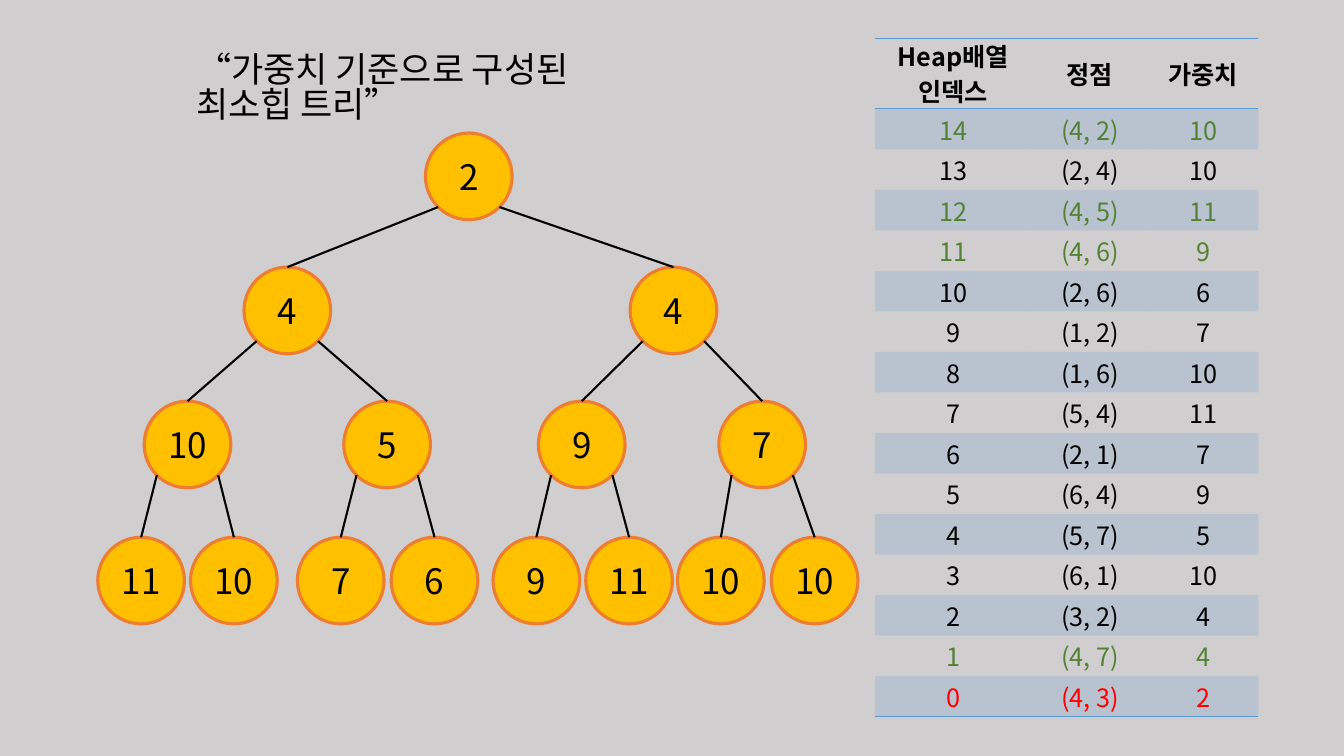
import math
from dataclasses import dataclass

import pptx
import pptx.dml.color
import pptx.enum.shapes
import pptx.enum.text
import pptx.oxml
import pptx.oxml.ns
import pptx.util

PX = 9144  # EMU per px, 100 px to the inch


@dataclass(frozen=True)
class Theme:
    font: str = "Noto Sans CJK KR"
    background: str = "D0CECE"
    text: str = "000000"
    node: str = "FFC000"
    node_line: str = "ED7D31"
    accent: str = "5B9BD5"
    green: str = "548235"
    red: str = "FF0000"
    large: int = 25
    small: int = 18


THEME = Theme()
NO_TABLE_STYLE = "{2D5ABB26-0587-4C30-8999-92F81FD0307C}"

NODE_SIZE = 86
# Each level: top, then (left, weight) of its nodes, relative to the tree box
TREE_LEVELS = [
    (0, [(325, "2")]),
    (133, [(145, "4"), (528, "4")]),
    (266, [(46, "10"), (244, "5"), (437, "9"), (616, "7")]),
    (401, [(0, "11"), (92, "10"), (198, "7"), (291, "6"),
           (392, "9"), (484, "11"), (575, "10"), (668, "10")]),
]

HEADERS = [["Heap배열", "인덱스"], ["정점"], ["가중치"]]
COLUMN_WIDTHS = [155, 116, 109]
HEADER_HEIGHT = 70
# Vertex pair and weight, from the highest heap index down to 0
HEAP_EDGES = [
    ("(4, 2)", 10), ("(2, 4)", 10), ("(4, 5)", 11), ("(4, 6)", 9), ("(2, 6)", 6),
    ("(1, 2)", 7), ("(1, 6)", 10), ("(5, 4)", 11), ("(2, 1)", 7), ("(6, 4)", 9),
    ("(5, 7)", 5), ("(6, 1)", 10), ("(3, 2)", 4), ("(4, 7)", 4), ("(4, 3)", 2),
]
INDEX_COLORS = {14: THEME.green, 12: THEME.green, 11: THEME.green,
                1: THEME.green, 0: THEME.red}


def px(length):
    return pptx.util.Emu(round(length * PX))


def rgb(color):
    return pptx.dml.color.RGBColor.from_string(color)


def add_run(paragraph, text, size, color=THEME.text, bold=False):
    run = paragraph.add_run()
    run.text = text
    run.font.size = pptx.util.Pt(size)
    run.font.bold = bold
    run.font.color.rgb = rgb(color)
    run.font.name = THEME.font
    east_asian = pptx.oxml.parse_xml(
        f'<a:ea {pptx.oxml.ns.nsdecls("a")} typeface="{THEME.font}"/>')
    run.font._element.find(pptx.oxml.ns.qn("a:latin")).addnext(east_asian)


def add_title(slide, left, top, width, height):
    box = slide.shapes.add_textbox(px(left), px(top), px(width), px(height))
    box.text_frame.word_wrap = True
    paragraph = box.text_frame.paragraphs[0]
    paragraph.line_spacing = 0.83
    add_run(paragraph, "“가중치 기준으로 구성된 최소힙 트리”", THEME.large)


def add_node(slide, left, top, weight):
    node = slide.shapes.add_shape(pptx.enum.shapes.MSO_SHAPE.OVAL,
                                  px(left), px(top), px(NODE_SIZE), px(NODE_SIZE))
    node.shadow.inherit = False
    node.fill.solid()
    node.fill.fore_color.rgb = rgb(THEME.node)
    node.line.color.rgb = rgb(THEME.node_line)
    node.line.width = pptx.util.Pt(2.25)
    node.text_frame.vertical_anchor = pptx.enum.text.MSO_ANCHOR.MIDDLE
    paragraph = node.text_frame.paragraphs[0]
    paragraph.alignment = pptx.enum.text.PP_ALIGN.CENTER
    add_run(paragraph, weight, THEME.large)


def add_branch(slide, parent, child, side):
    """Join the parent's lower diagonal (side -1 left, 1 right) to the child's top."""
    radius = NODE_SIZE / 2
    reach = radius * math.sqrt(0.5)
    branch = slide.shapes.add_connector(
        pptx.enum.shapes.MSO_CONNECTOR.STRAIGHT,
        px(parent[0] + radius + side * reach), px(parent[1] + radius + reach),
        px(child[0] + radius), px(child[1]))
    branch.line.color.rgb = rgb(THEME.text)
    branch.line.width = pptx.util.Pt(1.5)
    branch._element.spPr.append(
        pptx.oxml.parse_xml(f'<a:effectLst {pptx.oxml.ns.nsdecls("a")}/>'))


def add_heap_tree(slide, left, top):
    parents = []
    for level_top, nodes in TREE_LEVELS:
        corners = [(left + node_left, top + level_top) for node_left, _ in nodes]
        for position, (corner, (_, weight)) in enumerate(zip(corners, nodes)):
            add_node(slide, *corner, weight)
            if parents:
                add_branch(slide, parents[position // 2], corner,
                           1 if position % 2 else -1)
        parents = corners


def fill_cell(cell, lines, color=THEME.text, bold=False):
    cell.margin_top = cell.margin_bottom = 0
    cell.vertical_anchor = pptx.enum.text.MSO_ANCHOR.MIDDLE
    for position, line in enumerate(lines):
        frame = cell.text_frame
        paragraph = frame.add_paragraph() if position else frame.paragraphs[0]
        paragraph.alignment = pptx.enum.text.PP_ALIGN.CENTER
        if len(lines) > 1:
            paragraph.line_spacing = 0.95
        add_run(paragraph, line, THEME.small, color, bold)


def shade_cell(cell, shaded):
    if not shaded:
        cell.fill.background()
        return
    cell.fill.solid()
    cell.fill.fore_color.rgb = rgb(THEME.accent)
    color = cell._tc.tcPr.find(".//" + pptx.oxml.ns.qn("a:srgbClr"))
    color.append(pptx.oxml.parse_xml(
        f'<a:alpha {pptx.oxml.ns.nsdecls("a")} val="20000"/>'))


def rule_cell(cell, edges):
    """Draw accent borders on the edges, named in schema order (lnT, lnB)."""
    for position, edge in enumerate(edges):
        cell._tc.get_or_add_tcPr().insert(position, pptx.oxml.parse_xml(
            f'<a:{edge} {pptx.oxml.ns.nsdecls("a")} w="12700"><a:solidFill>'
            f'<a:srgbClr val="{THEME.accent}"/></a:solidFill></a:{edge}>'))


def add_heap_table(slide, left, top, width, height):
    frame = slide.shapes.add_table(len(HEAP_EDGES) + 1, len(HEADERS),
                                   px(left), px(top), px(width), px(height))
    table = frame.table
    table._tbl.tblPr.find(pptx.oxml.ns.qn("a:tableStyleId")).text = NO_TABLE_STYLE
    for column, column_width in zip(table.columns, COLUMN_WIDTHS):
        column.width = px(column_width)
    for row in table.rows:
        row.height = px((height - HEADER_HEIGHT) / len(HEAP_EDGES))
    table.rows[0].height = px(HEADER_HEIGHT)

    for cell, lines in zip(table.rows[0].cells, HEADERS):
        fill_cell(cell, lines, bold=True)
        shade_cell(cell, False)
        rule_cell(cell, ["lnT", "lnB"])
    for number, (vertices, weight) in enumerate(HEAP_EDGES, start=1):
        index = len(HEAP_EDGES) - number
        values = [str(index), vertices, str(weight)]
        for cell, value in zip(table.rows[number].cells, values):
            fill_cell(cell, [value], INDEX_COLORS.get(index, THEME.text))
            shade_cell(cell, number % 2 == 1)
            if index == 0:
                rule_cell(cell, ["lnB"])


def build_heap_slide(presentation):
    slide = presentation.slides.add_slide(presentation.slide_layouts[6])
    slide.background.fill.solid()
    slide.background.fill.fore_color.rgb = rgb(THEME.background)
    add_title(slide, 185, 49, 476, 52)
    add_heap_tree(slide, 97, 132)
    add_heap_table(slide, 868, 38, sum(COLUMN_WIDTHS), 673)


def main():
    presentation = pptx.Presentation()
    presentation.slide_width = px(1333)
    presentation.slide_height = px(750)
    build_heap_slide(presentation)
    presentation.save("out.pptx")


if __name__ == "__main__":
    main()
